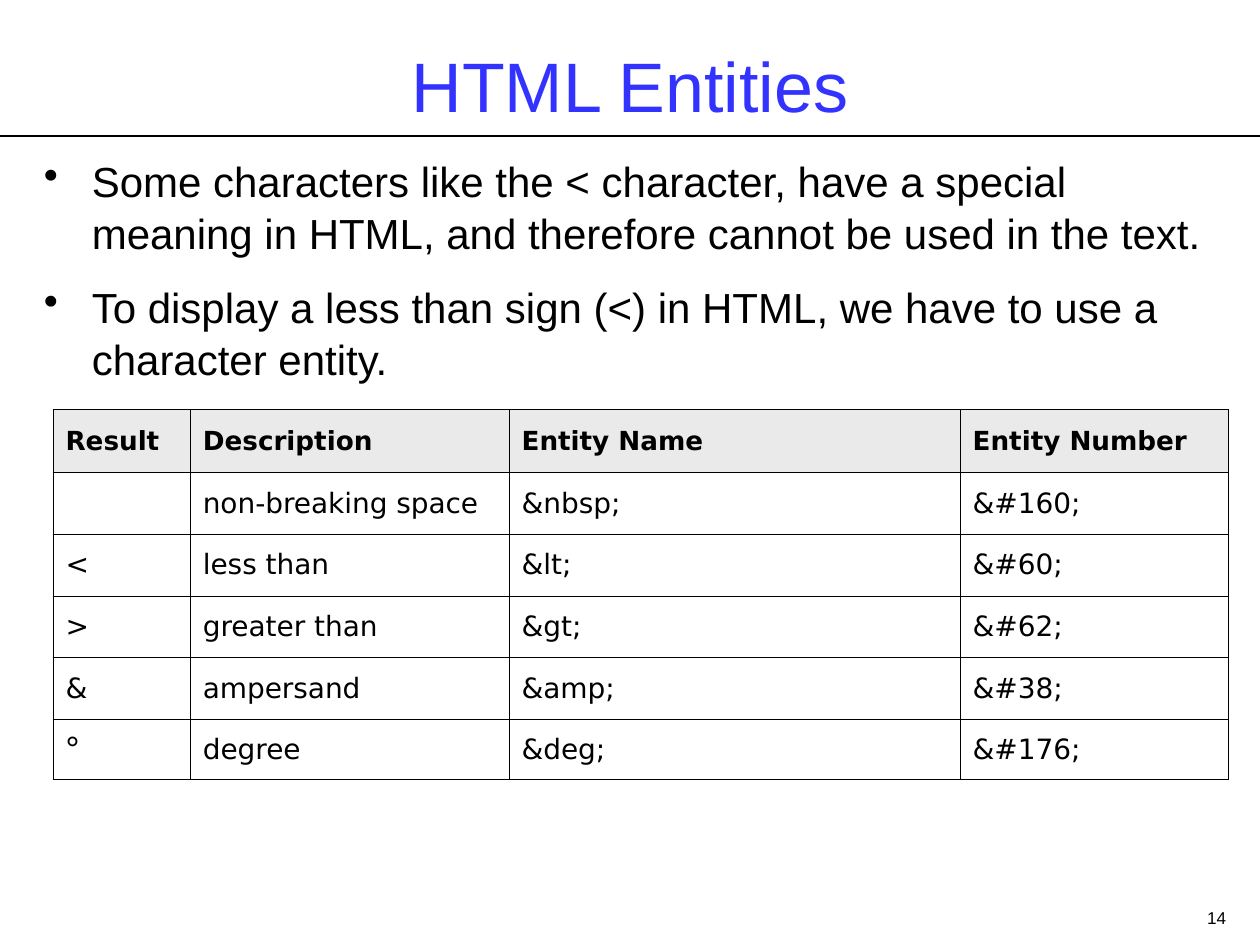
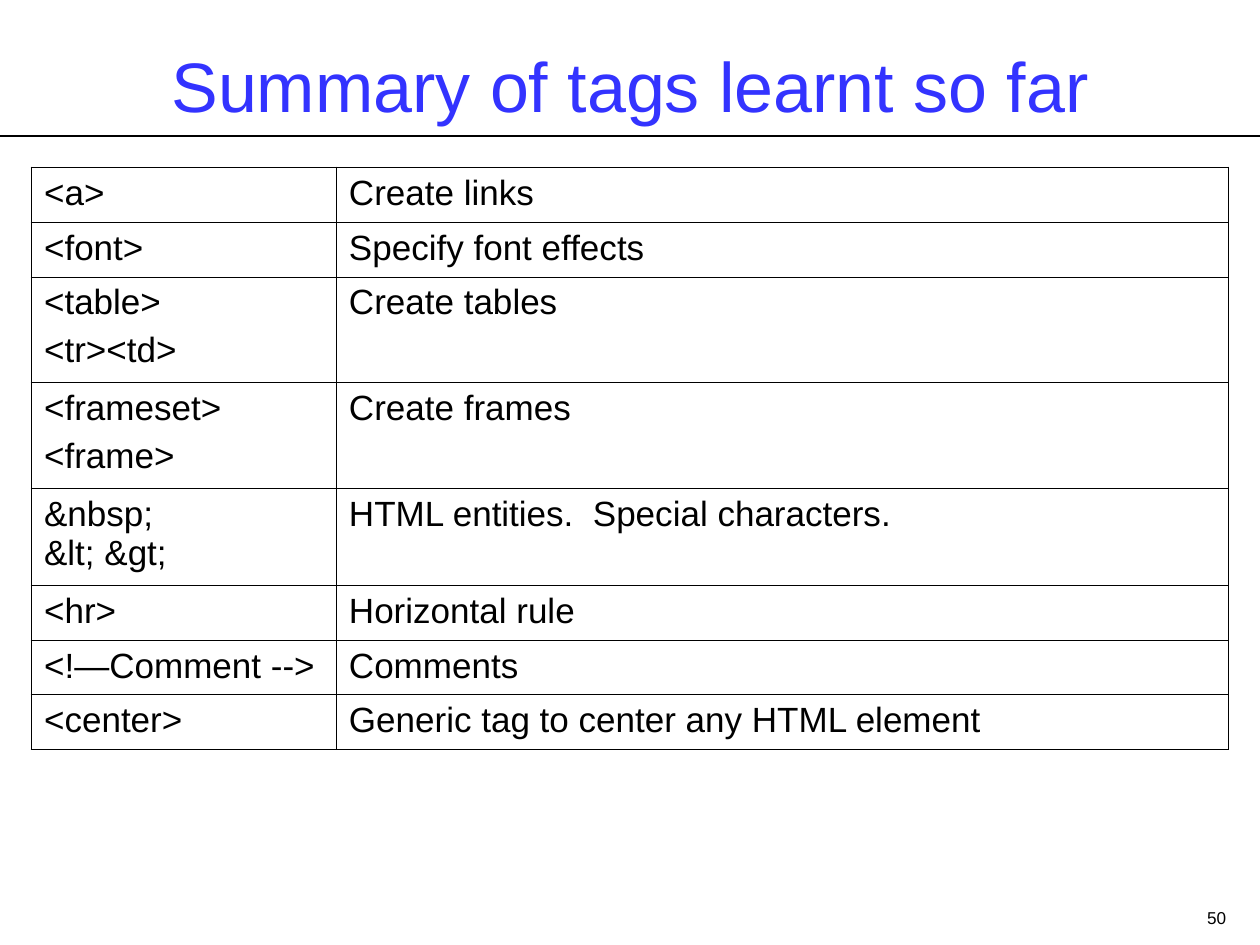
from lxml.etree import SubElement
from pptx import Presentation
from pptx.dml.color import RGBColor
from pptx.enum.shapes import MSO_CONNECTOR
from pptx.enum.text import MSO_ANCHOR, PP_ALIGN
from pptx.oxml.ns import qn
from pptx.util import Inches, Pt

COLORS = {"title": "3333FF", "ink": "000000", "head": "EAEAEA", "paper": "FFFFFF"}
SANS = "Arial"
WIDE = "DejaVu Sans"
THIN, THICK = 0.45, 1.08


def color(name):
    return RGBColor.from_string(COLORS[name])


class Deck:
    def __init__(self):
        self.show = Presentation()
        self.show.slide_width = Inches(10)
        self.show.slide_height = Inches(7.5)
        self.slide = None

    def page(self, title, number):
        self.slide = self.show.slides.add_slide(self.show.slide_layouts[5])
        self.rule(1.08)
        self.number(number)
        self.title(title)

    def style(self, para, size, face=SANS, ink="ink", bold=False):
        for run in para.runs:
            font = run.font
            font.size, font.name, font.bold = Pt(size), face, bold
            font.color.rgb = color(ink)

    def place(self, shape, left, top, width, height):
        shape.left, shape.top = Inches(left), Inches(top)
        shape.width, shape.height = Inches(width), Inches(height)

    def rule(self, top):
        line = self.slide.shapes.add_connector(
            MSO_CONNECTOR.STRAIGHT, 0, Inches(top), Inches(10), Inches(top))
        line.line.color.rgb = color("ink")
        line.line.width = Pt(0.75)
        SubElement(line._element.spPr, qn("a:effectLst"))

    def title(self, text):
        shape = self.slide.shapes.title
        self.place(shape, 0.25, 0.17, 9.5, 1)
        frame = shape.text_frame
        frame.text = text
        frame.vertical_anchor = MSO_ANCHOR.MIDDLE
        para = frame.paragraphs[0]
        para.alignment = PP_ALIGN.CENTER
        self.style(para, 40, ink="title")

    def box(self, left, top, width, height):
        shape = self.slide.shapes.add_textbox(
            Inches(left), Inches(top), Inches(width), Inches(height))
        shape.text_frame.word_wrap = True
        return shape.text_frame

    def number(self, number):
        frame = self.box(7.5, 7.15, 2.33, 0.27)
        frame.text = str(number)
        para = frame.paragraphs[0]
        para.alignment = PP_ALIGN.RIGHT
        self.style(para, 9.8)

    def bullets(self, items, left, top, width, height):
        frame = self.box(left, top, width, height)
        frame.text = "\n".join(items)
        for i, para in enumerate(frame.paragraphs):
            props = para._p.get_or_add_pPr()
            props.set("marL", str(Inches(0.38)))
            props.set("indent", str(-Inches(0.38)))
            SubElement(props, qn("a:buChar")).set("char", "•")
            para.line_spacing = 1.04
            if i:
                para.space_before = Pt(12)
            self.style(para, 24)

    def border(self, cell, widths):
        props = cell._tc.get_or_add_tcPr()
        for side, width in zip("LRTB", widths):
            line = SubElement(props, qn(f"a:ln{side}"))
            line.set("w", str(Pt(width)))
            fill = SubElement(line, qn("a:solidFill"))
            SubElement(fill, qn("a:srgbClr")).set("val", COLORS["ink"])

    def table(self, rows, left, top, cols, heights, edge, font, anchor, head=False):
        grid = self.slide.shapes.add_table(
            len(rows), len(cols), Inches(left), Inches(top),
            Inches(sum(cols)), Inches(sum(heights))).table
        grid.first_row = head
        grid.horz_banding = False
        for col, width in zip(grid.columns, cols):
            col.width = Inches(width)
        for row, height in zip(grid.rows, heights):
            row.height = Inches(height)
        for r, row in enumerate(rows):
            for c, text in enumerate(row):
                cell = grid.cell(r, c)
                outer = (c == 0, c == len(cols) - 1, r == 0, r == len(rows) - 1)
                self.border(cell, [edge if out else THIN for out in outer])
                top_row = head and r == 0
                cell.fill.solid()
                cell.fill.fore_color.rgb = color("head" if top_row else "paper")
                cell.vertical_anchor = anchor
                cell.text_frame.text = text
                size, face = (15, WIDE) if top_row else font
                if text == "°":
                    size, face = 20, SANS
                for i, para in enumerate(cell.text_frame.paragraphs):
                    if i:
                        para.space_before = Pt(5)
                    self.style(para, size, face, bold=top_row)


def main():
    deck = Deck()

    deck.page("HTML Entities", 14)
    deck.bullets([
        "Some characters like the < character, have a special meaning in HTML, "
        "and therefore cannot be used in the text.",
        "To display a less than sign (<) in HTML, we have to use a character entity.",
    ], 0.25, 1.17, 9.42, 5.67)
    signs = [
        ("Result", "Description", "Entity Name", "Entity Number"),
        ("", "non-breaking space", "&nbsp;", "&#160;"),
        ("<", "less than", "&lt;", "&#60;"),
        (">", "greater than", "&gt;", "&#62;"),
        ("&", "ampersand", "&amp;", "&#38;"),
        ("°", "degree", "&deg;", "&#176;"),
    ]
    deck.table(signs, 0.42, 3.25, [1.09, 2.53, 3.58, 2.13], [0.5] + [0.49] * 4 + [0.48],
               THIN, (16, WIDE), MSO_ANCHOR.MIDDLE, head=True)

    deck.page("Summary of tags learnt so far", 50)
    tags = [
        ("<a>", "Create links"),
        ("<font>", "Specify font effects"),
        ("<table>\n<tr><td>", "Create tables"),
        ("<frameset>\n<frame>", "Create frames"),
        ("&nbsp;\v&lt; &gt;", "HTML entities.  Special characters."),
        ("<hr>", "Horizontal rule"),
        ("<!—Comment -->", "Comments"),
        ("<center>", "Generic tag to center any HTML element"),
    ]
    low, tall = 0.43, 0.84
    deck.table(tags, 0.25, 1.33, [2.42, 7.08], [low, low, tall, tall, 0.77, low, low, low],
               THICK, (20, SANS), MSO_ANCHOR.TOP)

    deck.show.save("out.pptx")


if __name__ == "__main__":
    main()
